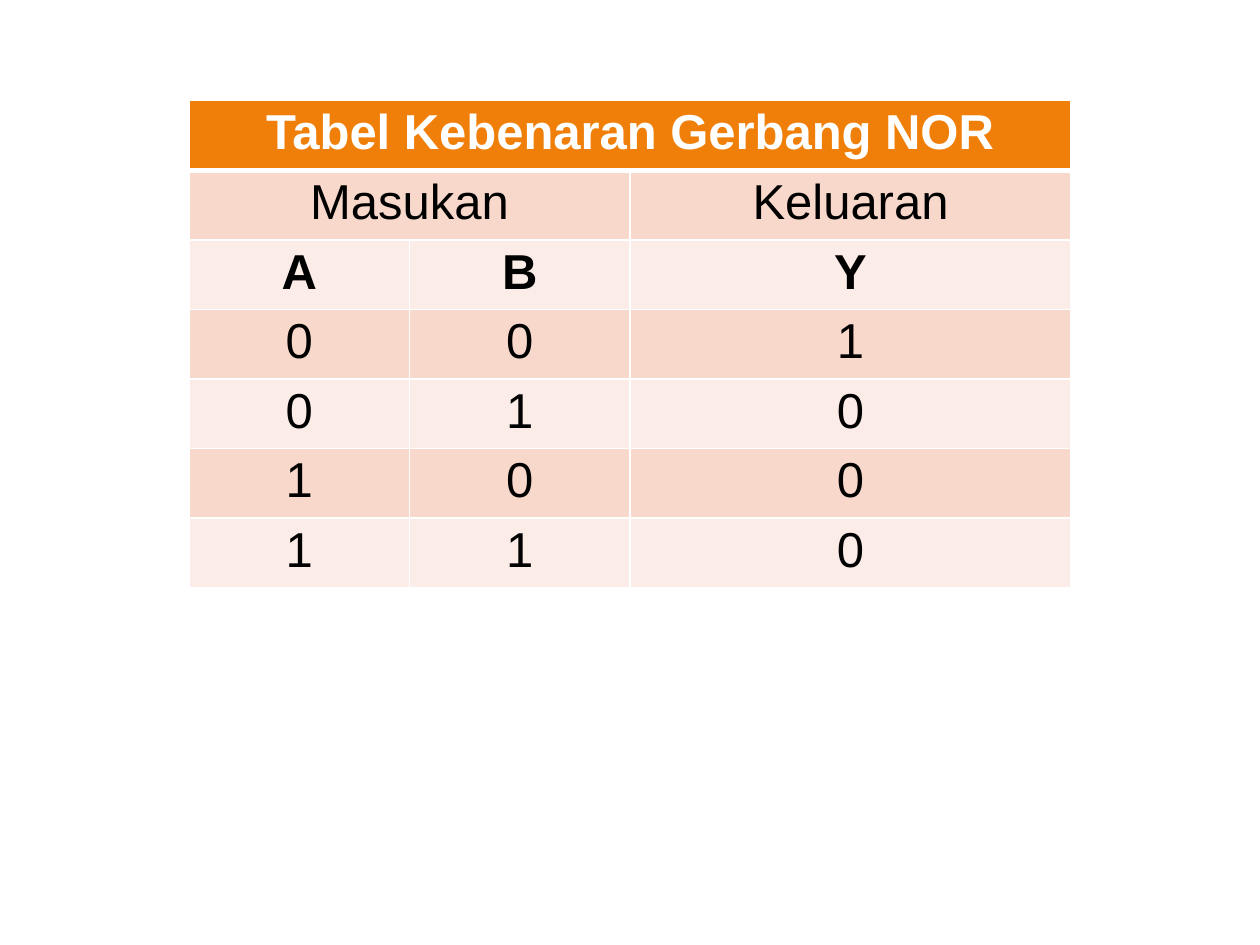
"""Build a slide with the truth table of the NOR gate."""
import pptx
import pptx.dml.color
import pptx.enum.text
import pptx.oxml.ns
import pptx.util
from lxml import etree

Cm = pptx.util.Cm
Pt = pptx.util.Pt


def color(value):
    return pptx.dml.color.RGBColor.from_string(value)


def add_border(cell, side, width):
    name = pptx.oxml.ns.qn
    line = etree.SubElement(cell._tc.get_or_add_tcPr(), name(f"a:ln{side}"), w=str(Pt(width)))
    fill = etree.SubElement(line, name("a:solidFill"))
    etree.SubElement(fill, name("a:srgbClr"), val="FFFFFF")


deck = pptx.Presentation()
deck.slide_width = Cm(25.4)
deck.slide_height = Cm(19.05)
page = deck.slides.add_slide(deck.slide_layouts[6])

truth_rows = [
    ["Tabel Kebenaran Gerbang NOR", "", ""],
    ["Masukan", "", "Keluaran"],
    ["A", "B", "Y"],
]
for a in (0, 1):
    for b in (0, 1):
        truth_rows.append([str(a), str(b), str(int(not (a or b)))])

frame = page.shapes.add_table(len(truth_rows), 3, Cm(3.81), Cm(2.03), Cm(17.78), Cm(7.4))
table = frame.table
table.first_row = False
table.horz_banding = False
for column, width in zip(table.columns, (4.445, 4.445, 8.89)):
    column.width = Cm(width)
for row in table.rows:
    row.height = Cm(1.06)
table.cell(0, 0).merge(table.cell(0, 2))
table.cell(1, 0).merge(table.cell(1, 1))

for row_index, texts in enumerate(truth_rows):
    if row_index == 0:
        fill_color = "F07F09"
    else:
        fill_color = "F9D8CC" if row_index % 2 else "FCECE7"
    for column_index, text in enumerate(texts):
        cell = table.cell(row_index, column_index)
        cell.margin_top = Cm(0.1)
        cell.margin_bottom = Cm(0.2)
        add_border(cell, "L", 1)
        add_border(cell, "R", 1)
        add_border(cell, "T", 3 if row_index == 1 else 1)
        add_border(cell, "B", 3 if row_index == 0 else 1)
        cell.fill.solid()
        cell.fill.fore_color.rgb = color(fill_color)
        if text:
            para = cell.text_frame.paragraphs[0]
            para.alignment = pptx.enum.text.PP_ALIGN.CENTER
            span = para.add_run()
            span.text = text
            span.font.name = "Arial"
            span.font.size = Pt(28)
            span.font.bold = row_index in (0, 2)
            span.font.color.rgb = color("000000" if row_index else "FFFFFF")

deck.save("out.pptx")
